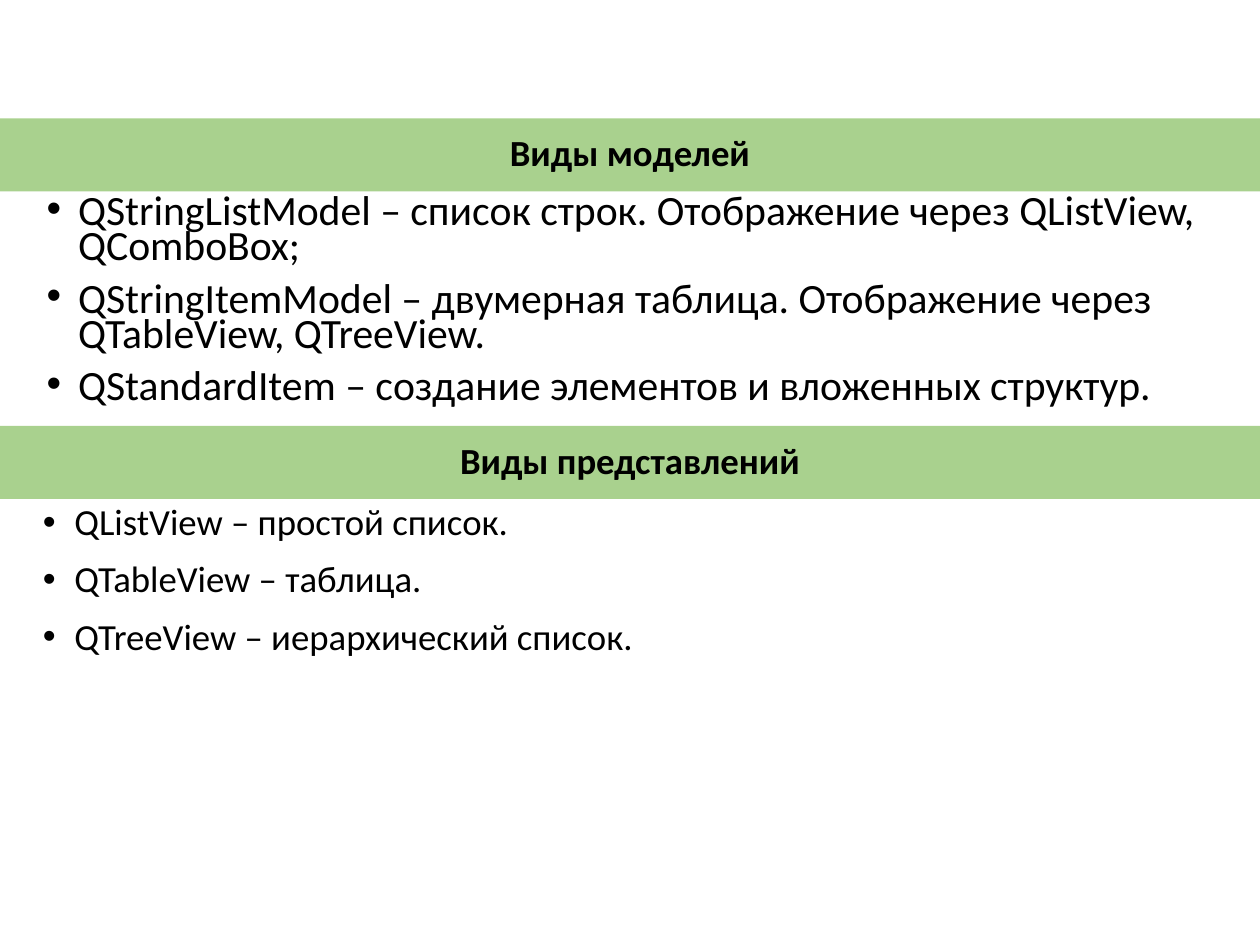
from lxml.etree import SubElement
from pptx import Presentation
from pptx.dml.color import RGBColor
from pptx.enum.shapes import MSO_SHAPE
from pptx.enum.text import MSO_ANCHOR, MSO_AUTO_SIZE, PP_ALIGN
from pptx.oxml.ns import qn
from pptx.util import Inches, Pt

RECT = MSO_SHAPE.RECTANGLE
TOP, MIDDLE = MSO_ANCHOR.TOP, MSO_ANCHOR.MIDDLE
CENTER, LEFT = PP_ALIGN.CENTER, PP_ALIGN.LEFT
FIXED = MSO_AUTO_SIZE.NONE

MODELS = "Виды моделей"
MODEL_LIST = [
    "QStringListModel – список строк. Отображение через QListView, QComboBox;",
    "QStringItemModel – двумерная таблица. Отображение через QTableView, QTreeView.",
    "QStandardItem – создание элементов и вложенных структур.",
]
VIEWS = "Виды представлений"
VIEW_LIST = [
    "QListView – простой список.",
    "QTableView – таблица.",
    "QTreeView – иерархический список.",
]
WIDE, BAND, BODY = 10, 0.58, 1.87
SIDE, LIST_W = 0.27, 9.45
TOPS = (0.94, 3.38)
GREEN, BLACK = "A9D18E", "000000"


def color(code):
    return RGBColor.from_string(code)


def place(shape, left, top, width, height):
    shape.left, shape.top = Inches(left), Inches(top)
    shape.width, shape.height = Inches(width), Inches(height)


def write(shape, lines, size, space, align, anchor, pad, bold=False):
    frame = shape.text_frame
    frame.text = "\n".join(lines)
    frame.word_wrap = True
    frame.auto_size = FIXED
    frame.vertical_anchor = anchor
    frame.margin_left = frame.margin_right = Inches(pad[0])
    frame.margin_top = frame.margin_bottom = Inches(pad[1])
    for para in frame.paragraphs:
        para.alignment = align
        para.line_spacing = space
        for run in para.runs:
            font = run.font
            font.name, font.size, font.bold = "Calibri", Pt(size), bold
            font.color.rgb = color(BLACK)


def fill_band(shape, top, title, pad):
    place(shape, 0, top, WIDE, BAND)
    shape.fill.solid()
    shape.fill.fore_color.rgb = color(GREEN)
    shape.line.fill.background()
    write(shape, [title], 21, 0.9, CENTER, MIDDLE, pad, True)


def fill_list(shape, top, lines, size, space, pad):
    place(shape, SIDE, top + BAND, LIST_W, BODY)
    write(shape, lines, size, space, LEFT, TOP, pad)
    for para in shape.text_frame.paragraphs:
        para.space_before = Pt(10)
        props = para._p.get_or_add_pPr()
        props.set("marL", str(Inches(0.25)))
        props.set("indent", str(Inches(-0.25)))
        SubElement(props, qn("a:buFont")).set("typeface", "Arial")
        SubElement(props, qn("a:buChar")).set("char", "•")


def main():
    """Build the slide on kinds of models and views."""
    deck = Presentation()
    deck.slide_width, deck.slide_height = Inches(WIDE), Inches(7.5)
    slide = deck.slides.add_slide(deck.slide_layouts[1])
    shapes = slide.shapes
    first, second = TOPS
    wide, slim = (0.1, 0.05), (0.07, 0.04)

    fill_band(shapes.title, first, MODELS, wide)
    fill_list(slide.placeholders[1], first, MODEL_LIST, 23.8, 0.7, wide)

    views = shapes.add_textbox(0, 0, 0, 0)
    fill_list(views, second, VIEW_LIST, 21, 0.9, slim)
    band = shapes.add_shape(RECT, 0, 0, 0, 0)
    band.shadow.inherit = False
    fill_band(band, second, VIEWS, slim)

    deck.save("out.pptx")


if __name__ == "__main__":
    main()
